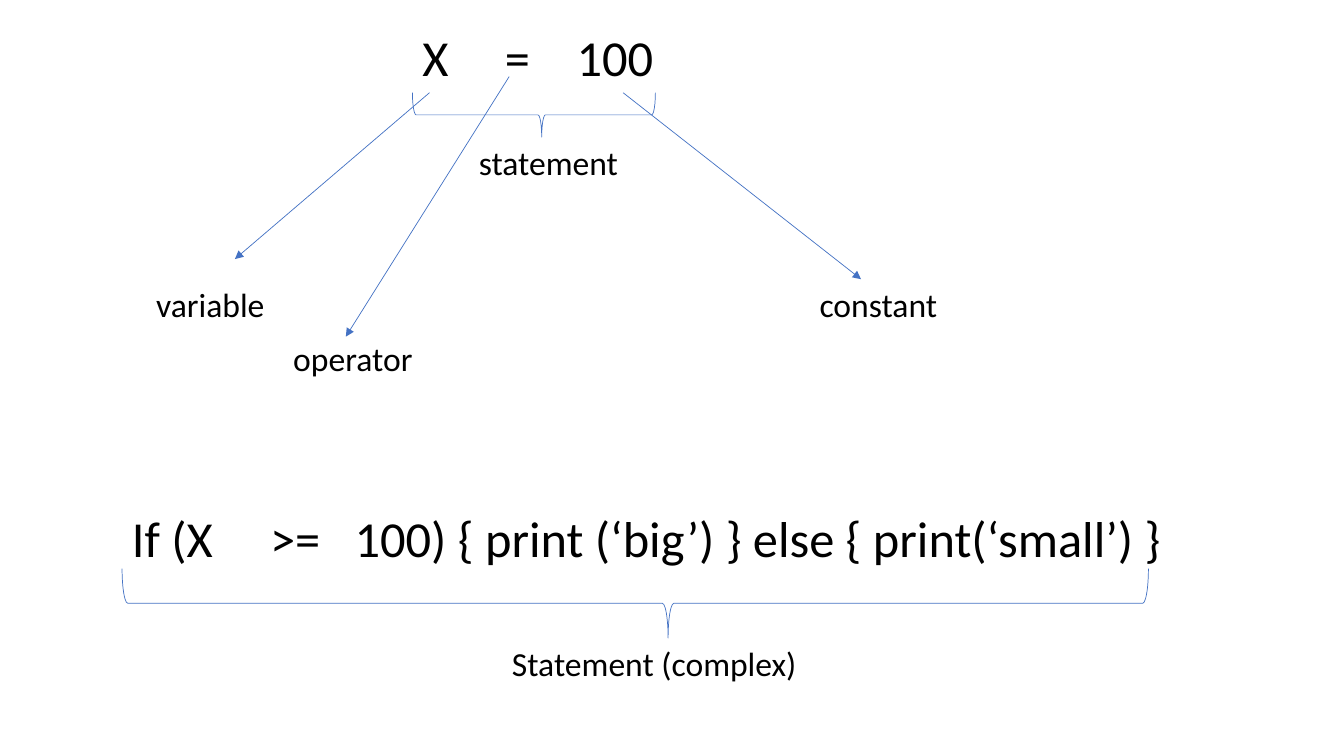
from lxml import etree
from pptx import Presentation
from pptx.dml.color import RGBColor
from pptx.enum.shapes import MSO_CONNECTOR, MSO_SHAPE
from pptx.enum.text import MSO_AUTO_SIZE
from pptx.oxml.ns import qn
from pptx.util import Inches, Pt

STRAIGHT = MSO_CONNECTOR.STRAIGHT
RIGHT_BRACE = MSO_SHAPE.RIGHT_BRACE
GROW = MSO_AUTO_SIZE.SHAPE_TO_FIT_TEXT
COLORS = {"text": "000000", "line": "4472C4"}
FONT = "Calibri"
LINE_WIDTH = 0.5
BLANK_LAYOUT = 6

# Code lines: text, left, top, width, tab stops (inches)
CODE_SIZE, CODE_HEIGHT = 36, 0.71
CODE_LINES = [
    ("X\t=\t100", 4.09, 0.21, 10.1, (0.82, 1.53)),
    ("If (X\t>=\t100) { print (‘big’) } else { print(‘small’) }",
     1.21, 4.98, 14.05, (1.37, 2.21)),
]

# Labels: text, left, top, width (inches)
LABEL_SIZE, LABEL_HEIGHT = 24, 0.5
LABELS = [
    ("statement", 4.65, 1.36, 1.85),
    ("variable", 1.45, 2.77, 1.85),
    ("constant", 8.03, 2.77, 1.85),
    ("operator", 2.81, 3.3, 1.85),
    ("Statement (complex)", 4.98, 6.33, 3.3),
]

# Braces as they lie under the code: left, top, span, depth
BRACE_ADJUSTMENTS = (0.083, 0.468)
BRACES = [(4.09, 0.92, 2.41, 0.44), (1.21, 5.64, 10.18, 0.69)]

# Arrows from a code part to its label: start, end
ARROWS = [
    ((4.26, 0.92), (2.33, 2.57)),
    ((6.18, 0.92), (8.54, 2.77)),
    ((5.05, 0.76), (3.43, 3.34)),
]

presentation = Presentation()
presentation.slide_width = Inches(13.33)
presentation.slide_height = Inches(7.5)
slide = presentation.slides.add_slide(presentation.slide_layouts[BLANK_LAYOUT])


def add_text(text, left, top, width, height, size, tab_stops=()):
    box = slide.shapes.add_textbox(*map(Inches, (left, top, width, height)))
    frame = box.text_frame
    frame.word_wrap = True
    frame.auto_size = GROW
    paragraph = frame.paragraphs[0]
    run = paragraph.add_run()
    run.text = text
    font_format = {"name": FONT, "size": Pt(size)}
    for name, value in font_format.items():
        setattr(run.font, name, value)
    run.font.color.rgb = RGBColor.from_string(COLORS["text"])
    if tab_stops:
        properties = paragraph._p.get_or_add_pPr()
        tab_list = etree.SubElement(properties, qn("a:tabLst"))
        for position in tab_stops:
            etree.SubElement(tab_list, qn("a:tab"),
                             pos=str(Inches(position)), algn="l")


def style_line(line):
    line.color.rgb = RGBColor.from_string(COLORS["line"])
    line.width = Pt(LINE_WIDTH)


def add_brace(left, top, span, depth):
    # A right brace turned a quarter keeps its centre
    shift = (span - depth) / 2
    brace = slide.shapes.add_shape(
        RIGHT_BRACE, *map(Inches, (left + shift, top - shift, depth, span)))
    brace.rotation = 90
    for index, value in enumerate(BRACE_ADJUSTMENTS):
        brace.adjustments[index] = value
    brace.shadow.inherit = False
    brace.fill.background()
    style_line(brace.line)


def add_arrow(start, end):
    arrow = slide.shapes.add_connector(STRAIGHT, *map(Inches, start + end))
    style_line(arrow.line)
    properties = arrow._element.spPr
    etree.SubElement(properties.find(qn("a:ln")), qn("a:tailEnd"), type="triangle")
    etree.SubElement(properties, qn("a:effectLst"))


# Code lines with their parts
for text, left, top, width, tab_stops in CODE_LINES:
    add_text(text, left, top, width, CODE_HEIGHT, CODE_SIZE, tab_stops)
for brace in BRACES:
    add_brace(*brace)
for start, end in ARROWS:
    add_arrow(start, end)

# Labels
for text, left, top, width in LABELS:
    add_text(text, left, top, width, LABEL_HEIGHT, LABEL_SIZE)

presentation.save("out.pptx")
